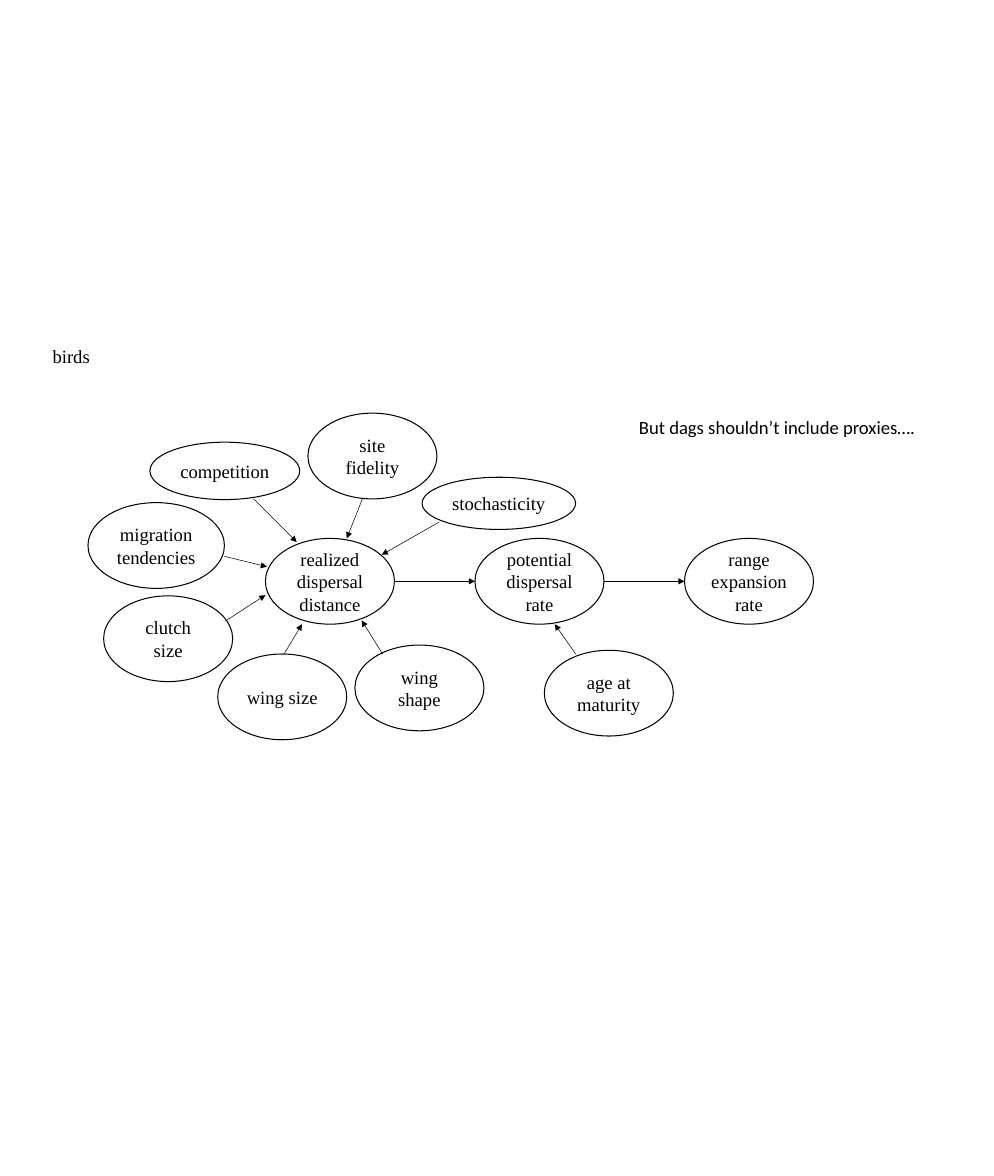
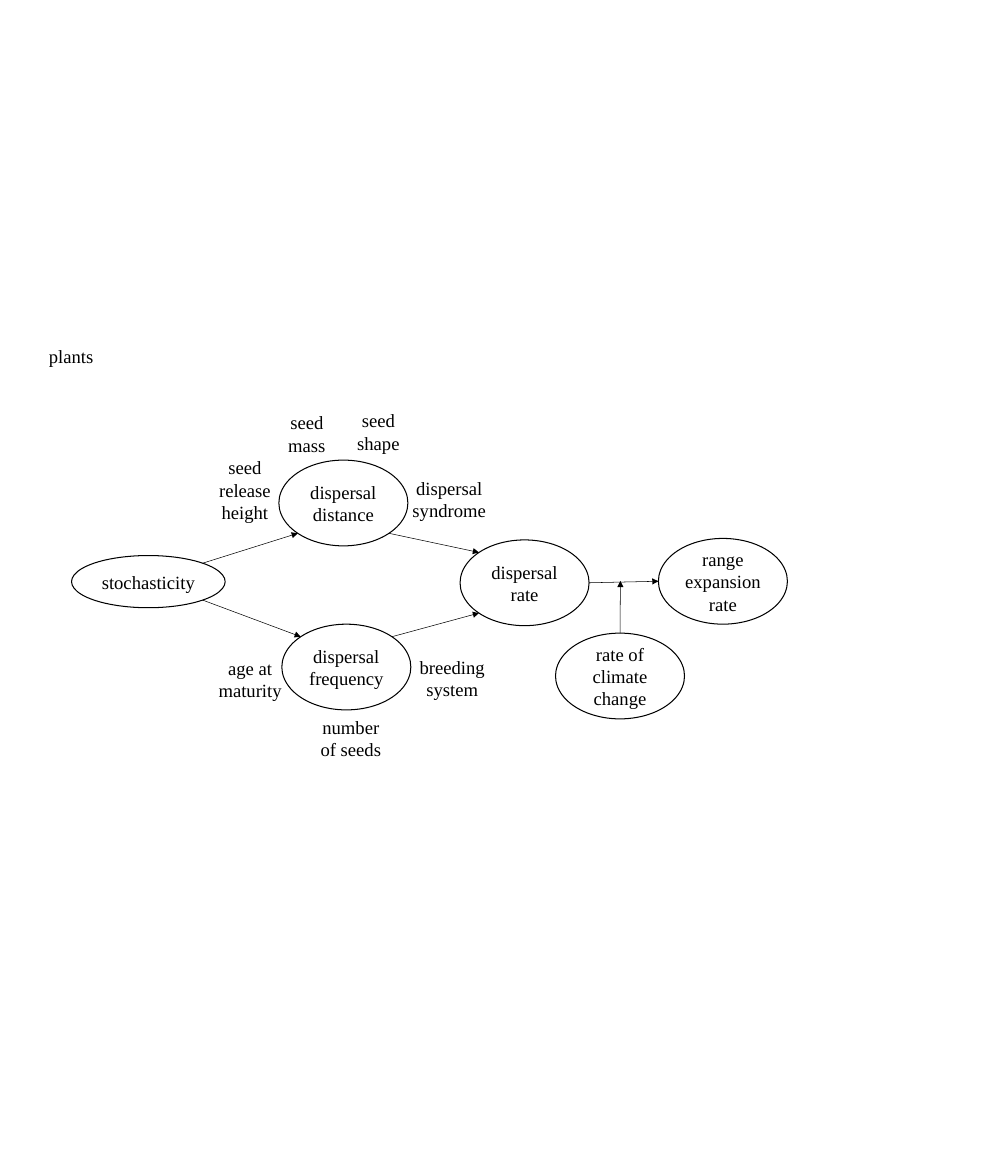
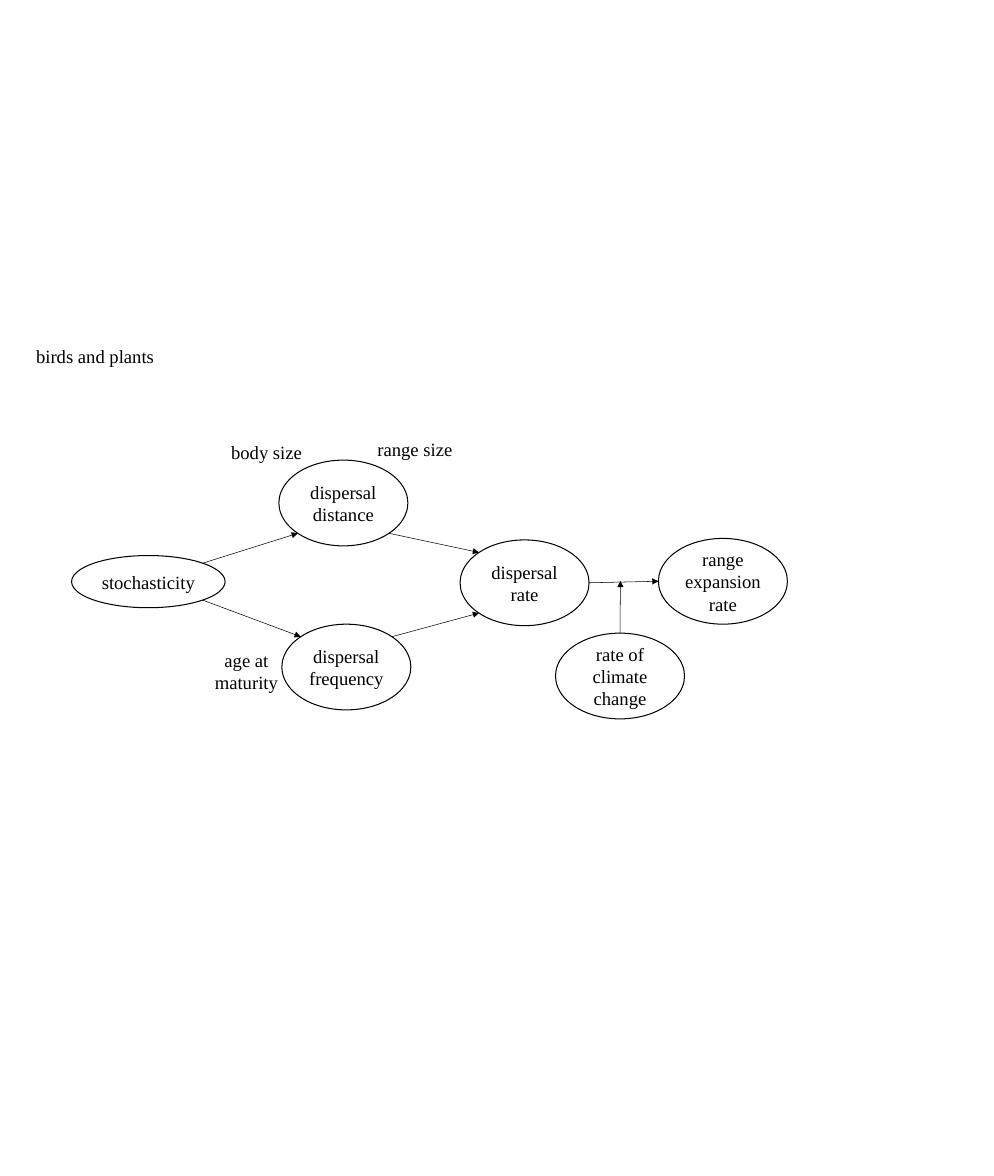
from math import cos, radians, sin

from lxml.etree import SubElement
from pptx import Presentation
from pptx.dml.color import RGBColor
from pptx.enum.shapes import MSO_CONNECTOR, MSO_SHAPE
from pptx.enum.text import MSO_ANCHOR, MSO_AUTO_SIZE, PP_ALIGN
from pptx.oxml.ns import qn
from pptx.util import Inches, Pt

COLORS = {"ink": "000000", "paper": "FFFFFF"}
NODE = (1.73, 1.15)
SITES = ["top", "top left", "left", "bottom left",
         "bottom", "bottom right", "right", "top right"]


class Diagram:
    font = "Times New Roman"
    size = 18

    def __init__(self):
        self.deck = Presentation()
        self.deck.slide_width = Inches(13.33)
        self.deck.slide_height = Inches(15.77)
        self.page = None

    def color(self, name):
        return RGBColor.from_string(COLORS[name])

    def new_page(self):
        self.page = self.deck.slides.add_slide(self.deck.slide_layouts[6])
        fill = self.page.background.fill
        fill.solid()
        fill.fore_color.rgb = self.color("paper")

    def set_text(self, frame, text, align, font):
        frame.word_wrap = True
        for index, line in enumerate(text.split("\n")):
            para = frame.add_paragraph() if index else frame.paragraphs[0]
            para.alignment = align
            span = para.add_run()
            span.text = line
            span.font.name = font
            span.font.size = Pt(self.size)
            span.font.color.rgb = self.color("ink")

    def label(self, text, left, top, width, align=PP_ALIGN.CENTER, font=font):
        box = self.page.shapes.add_textbox(
            Inches(left), Inches(top), Inches(width), Inches(0.4))
        self.set_text(box.text_frame, text, align, font)
        box.text_frame.auto_size = MSO_AUTO_SIZE.SHAPE_TO_FIT_TEXT

    def oval(self, text, left, top, size=NODE, outlined=True):
        oval = self.page.shapes.add_shape(
            MSO_SHAPE.OVAL, Inches(left), Inches(top), *map(Inches, size))
        oval.shadow.inherit = False
        oval.fill.background()
        if outlined:
            oval.line.color.rgb = self.color("ink")
            oval.line.width = Pt(1)
        else:
            oval.line.fill.background()
        oval.text_frame.vertical_anchor = MSO_ANCHOR.MIDDLE
        self.set_text(oval.text_frame, text, PP_ALIGN.CENTER, self.font)
        return oval

    def factors(self, entries):
        for text, left, top in entries:
            self.oval(text, left, top, outlined=False)

    def locate(self, end):
        place, site = end
        if not isinstance(site, str):
            return Inches(place), Inches(site)
        angle = radians(90 + 45 * SITES.index(site))
        x = place.left + place.width / 2 * (1 + cos(angle))
        y = place.top + place.height / 2 * (1 - sin(angle))
        return round(x), round(y)

    def arrow(self, start, finish):
        arrow = self.page.shapes.add_connector(
            MSO_CONNECTOR.STRAIGHT, *self.locate(start), *self.locate(finish))
        arrow.line.color.rgb = self.color("ink")
        arrow.line.width = Pt(0.5)
        properties = arrow.element.find(qn("p:spPr"))
        SubElement(properties.find(qn("a:ln")), qn("a:tailEnd"), type="triangle")
        SubElement(properties, qn("a:effectLst"))
        joints = arrow.element.find(qn("p:nvCxnSpPr")).find(qn("p:cNvCxnSpPr"))
        for tag, (place, site) in (("a:stCxn", start), ("a:endCxn", finish)):
            if isinstance(site, str):
                SubElement(joints, qn(tag), id=str(place.shape_id),
                           idx=str(SITES.index(site)))

    def dispersal_model(self):
        expansion = self.oval("range expansion rate", 8.83, 7.22)
        rate = self.oval("dispersal rate", 6.17, 7.24)
        distance = self.oval("dispersal distance", 3.74, 6.17)
        frequency = self.oval("dispersal frequency", 3.78, 8.37)
        chance = self.oval("stochasticity", 0.96, 7.45, (2.06, 0.7))
        climate = self.oval("rate of climate change", 7.45, 8.49)
        self.arrow((rate, "right"), (expansion, "left"))
        self.arrow((distance, "bottom right"), (rate, "top left"))
        self.arrow((frequency, "top right"), (rate, "bottom left"))
        self.arrow((chance, "bottom right"), (frequency, "top left"))
        self.arrow((chance, "top right"), (distance, "bottom left"))
        self.arrow((climate, "top"), (8.32, 7.79))


def birds(diagram):
    diagram.new_page()
    diagram.label("birds", 0.09, 4.57, 1.73)
    diagram.label("But dags shouldn’t include proxies….", 8.47, 5.53, 4.01,
                  PP_ALIGN.LEFT, "Calibri")
    realized, potential, expansion = [
        diagram.oval(text, 3.56 + 2.81 * step, 7.22)
        for step, text in enumerate(["realized dispersal distance",
                                     "potential dispersal rate",
                                     "range expansion rate"])]
    diagram.arrow((realized, "right"), (potential, "left"))
    diagram.arrow((potential, "right"), (expansion, "left"))
    for text, left, top, size, start, finish in [
        ("age at maturity", 7.3, 8.72, NODE, (7.72, 8.77), (7.44, 8.37)),
        ("wing size", 2.92, 8.77, NODE, (3.81, 8.77), (4.05, 8.37)),
        ("clutch size", 1.39, 7.99, NODE, (3.02, 8.33), (3.56, 7.98)),
        ("migration tendencies", 1.18, 6.74, (1.83, 1.15), (3.01, 7.46), (3.58, 7.6)),
        ("competition", 2.01, 5.93, (2.01, 0.77), (3.4, 6.69), (3.98, 7.27)),
        ("wing shape", 4.76, 8.65, NODE, (5.13, 8.77), (4.85, 8.32)),
        ("site fidelity", 4.13, 5.54, NODE, (4.86, 6.69), (4.65, 7.22)),
        ("stochasticity", 5.66, 6.4, (2.06, 0.7), (5.89, 7), (5.12, 7.44)),
    ]:
        diagram.oval(text, left, top, size)
        diagram.arrow(start, finish)


def plants(diagram):
    diagram.new_page()
    diagram.label("plants", 0.09, 4.57, 1.73)
    diagram.dispersal_model()
    diagram.factors([
        ("age at maturity", 2.49, 8.53),
        ("seed release height", 2.42, 5.99),
        ("number of seeds", 3.84, 9.32),
        ("seed\nmass", 3.25, 5.24),
        ("seed shape", 4.21, 5.21),
        ("breeding system", 5.2, 8.52),
        ("dispersal syndrome", 5.16, 6.12),
    ])


def birds_and_plants(diagram):
    diagram.new_page()
    diagram.label("birds and plants", 0.09, 4.57, 2.37)
    diagram.dispersal_model()
    diagram.factors([
        ("age at maturity", 2.44, 8.42),
        ("body size", 2.71, 5.49),
        ("range size", 4.7, 5.44),
    ])


def main():
    diagram = Diagram()
    birds(diagram)
    plants(diagram)
    birds_and_plants(diagram)
    diagram.deck.save("out.pptx")


if __name__ == "__main__":
    main()
